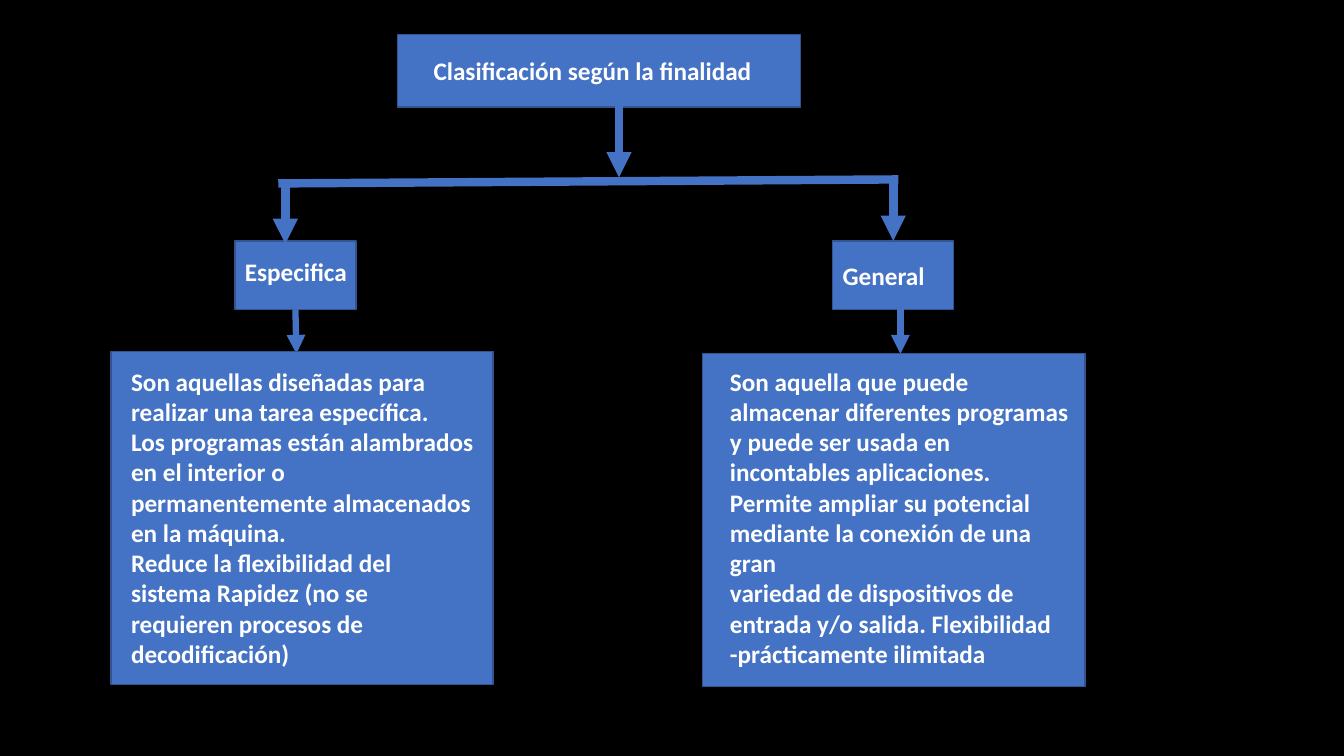
from dataclasses import dataclass

from lxml import etree
from pptx import Presentation
from pptx.dml.color import RGBColor
from pptx.enum.shapes import MSO_CONNECTOR, MSO_SHAPE
from pptx.enum.text import MSO_ANCHOR, MSO_AUTO_SIZE, PP_ALIGN
from pptx.oxml.ns import qn
from pptx.util import Inches, Pt

STRAIGHT = MSO_CONNECTOR.STRAIGHT
RECTANGLE = MSO_SHAPE.RECTANGLE
TOP = MSO_ANCHOR.TOP
GROW = MSO_AUTO_SIZE.SHAPE_TO_FIT_TEXT
LEFT = PP_ALIGN.LEFT
TOP_SIDE, BOTTOM_SIDE = 0, 2
TWO_CONTENT = 3


@dataclass(frozen=True)
class Theme:
    font: str = "Calibri"
    text_size: float = 18
    background: RGBColor = RGBColor(0x00, 0x00, 0x00)
    accent: RGBColor = RGBColor(0x44, 0x72, 0xC4)
    outline: RGBColor = RGBColor(0x32, 0x54, 0x91)
    text: RGBColor = RGBColor(0xFF, 0xFF, 0xFF)
    outline_width: float = 1
    branch_width: float = 6
    detail_width: float = 4.5


def apply(target, values):
    for name, value in values.items():
        setattr(target, name, value)


class DiagramSlide:
    def __init__(self, slide, theme):
        self.slide = slide
        self.theme = theme
        slide.background.fill.solid()
        slide.background.fill.fore_color.rgb = theme.background

    def box(self, left, top, width, height):
        box = self.slide.shapes.add_shape(
            RECTANGLE, Inches(left), Inches(top), Inches(width), Inches(height))
        box.shadow.inherit = False
        box.fill.solid()
        box.fill.fore_color.rgb = self.theme.accent
        box.line.color.rgb = self.theme.outline
        box.line.width = Pt(self.theme.outline_width)
        return box

    def fill_text(self, holder, place, paragraphs):
        left, top, width, height = map(Inches, place)
        apply(holder, {"left": left, "top": top, "width": width, "height": height})
        frame = holder.text_frame
        frame.text = "\n".join(paragraphs)
        apply(frame, {"word_wrap": True, "auto_size": GROW, "vertical_anchor": TOP})
        for paragraph in frame.paragraphs:
            apply(paragraph, {"alignment": LEFT, "space_before": Pt(0),
                              "space_after": Pt(0), "line_spacing": 1.0})
            properties = paragraph._p.get_or_add_pPr()
            properties.set("marL", "0")
            properties.set("indent", "0")
            etree.SubElement(properties, qn("a:buNone"))
            for run in paragraph.runs:
                apply(run.font, {"name": self.theme.font, "bold": True,
                                 "size": Pt(self.theme.text_size)})
                run.font.color.rgb = self.theme.text

    def placeholder(self, index, place, paragraphs):
        holder = self.slide.placeholders[index]
        self.fill_text(holder, place, paragraphs)
        # Bring the text in front of its box
        self.slide.shapes._spTree.append(holder._element)

    def label(self, place, text):
        holder = self.slide.shapes.add_textbox(*map(Inches, place))
        self.fill_text(holder, place, [text])

    def connector(self, start, end, width, arrow=True):
        link = self.slide.shapes.add_connector(STRAIGHT, *map(Inches, (*start, *end)))
        link.line.color.rgb = self.theme.accent
        link.line.width = Pt(width)
        if arrow:
            etree.SubElement(link.line._get_or_add_ln(), qn("a:tailEnd"), type="triangle")
        etree.SubElement(link._element.spPr, qn("a:effectLst"))
        return link


def main():
    presentation = Presentation()
    presentation.slide_width = Inches(13.33)
    presentation.slide_height = Inches(7.5)
    theme = Theme()
    layout = presentation.slide_layouts[TWO_CONTENT]
    diagram = DiagramSlide(presentation.slides.add_slide(layout), theme)

    # Root of the classification
    diagram.box(3.94, 0.34, 4, 0.72)
    diagram.placeholder(0, (4.2, 0.5, 3.89, 0.4), ["Clasificación según la finalidad"])

    # Category boxes
    specific = diagram.box(2.33, 2.39, 1.2, 0.68)
    diagram.label((2.33, 2.49, 1.34, 0.4), "Especifica")
    general = diagram.box(8.26, 2.39, 1.2, 0.68)
    diagram.label((8.26, 2.53, 1.34, 0.4), "General")

    # Specific purpose
    specific_detail = diagram.connector((2.93, 3.07), (2.94, 3.51), theme.detail_width)
    specific_detail.begin_connect(specific, BOTTOM_SIDE)
    diagram.box(1.1, 3.49, 3.79, 3.3)
    diagram.placeholder(1, (1.2, 3.58, 3.6, 3.13), [
        "Son aquellas diseñadas para realizar una tarea específica.",
        "Los programas están alambrados en el interior o permanentemente "
        "almacenados en la máquina.",
        "Reduce la flexibilidad del sistema Rapidez (no se requieren procesos "
        "de decodificación)",
    ])

    # Branches
    diagram.connector((2.83, 1.82), (2.83, 2.42), theme.branch_width)
    general_branch = diagram.connector((8.86, 1.82), (8.86, 2.39), theme.branch_width)
    general_branch.end_connect(general, TOP_SIDE)
    diagram.connector((8.93, 3.07), (8.93, 3.51), theme.detail_width)
    diagram.connector((2.76, 1.82), (8.91, 1.78), theme.branch_width, arrow=False)

    # General purpose
    diagram.box(6.97, 3.51, 3.79, 3.3)
    diagram.placeholder(2, (7.14, 3.58, 3.6, 3.13), [
        "Son aquella que puede almacenar diferentes programas y puede ser usada en",
        "incontables aplicaciones. Permite ampliar su potencial mediante la "
        "conexión de una gran",
        "variedad de dispositivos de entrada y/o salida. Flexibilidad "
        "-prácticamente ilimitada",
    ])

    # Stem from the root
    diagram.connector((6.14, 1.04), (6.14, 1.76), theme.branch_width)

    presentation.save("out.pptx")


if __name__ == "__main__":
    main()
